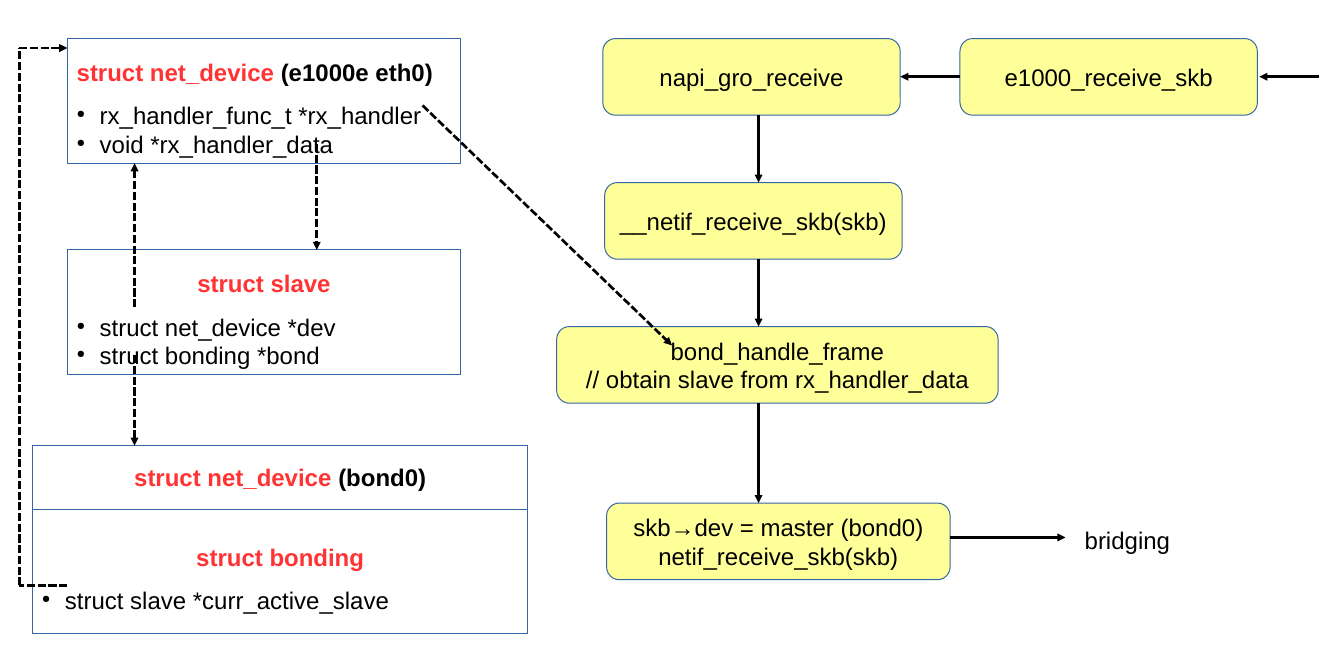
from dataclasses import dataclass

from lxml.etree import SubElement
from pptx import Presentation
from pptx.dml.color import RGBColor
from pptx.enum.dml import MSO_LINE
from pptx.enum.shapes import MSO_CONNECTOR, MSO_SHAPE
from pptx.enum.text import MSO_ANCHOR, PP_ALIGN
from pptx.oxml.ns import qn
from pptx.util import Cm, Pt

COLORS = {"text": "000000", "struct": "FF3333", "border": "3465A4",
          "panel": "FFFFFF", "call": "FFFF99"}
FONT = {"name": "Arial", "size": Pt(18)}
FRAME = {"word_wrap": True, "vertical_anchor": MSO_ANCHOR.MIDDLE,
         "margin_left": Cm(0.25), "margin_right": Cm(0.25),
         "margin_top": Cm(0.13), "margin_bottom": Cm(0.13)}
BULLET_INDENT = Cm(0.61)
ROUNDING = 0.167


@dataclass
class Box:
    """A rectangle in centimetres."""
    left: float
    top: float
    width: float
    height: float

    def point(self, x, y):
        return self.left + x, self.top + y

    def inner(self, x, y, width, height):
        return Box(*self.point(x, y), width, height)

    def lengths(self):
        return [Cm(v) for v in (self.left, self.top, self.width, self.height)]


def color(key):
    return RGBColor.from_string(COLORS[key])


def apply(target, values):
    for name, value in values.items():
        setattr(target, name, value)


# Text
def add_run(paragraph, text, color_key="text", bold=False):
    run = paragraph.add_run()
    run.text = text
    apply(run.font, {**FONT, "bold": bold})
    run.font.color.rgb = color(color_key)


def next_paragraph(frame):
    first = frame.paragraphs[0]
    return frame.add_paragraph() if first.runs else first


def add_bullet(paragraph):
    properties = paragraph._p.get_or_add_pPr()
    properties.set("marL", str(BULLET_INDENT))
    properties.set("indent", str(-BULLET_INDENT))
    bullet_color = SubElement(properties, qn("a:buClr"))
    SubElement(bullet_color, qn("a:srgbClr"), val=COLORS["text"])
    SubElement(properties, qn("a:buSzPct"), val="45000")
    SubElement(properties, qn("a:buChar"), char="●")


# Shapes and lines
def add_panel(slide, box, fill, preset=MSO_SHAPE.RECTANGLE):
    shape = slide.shapes.add_shape(preset, *box.lengths())
    shape.shadow.inherit = False
    shape.fill.solid()
    shape.fill.fore_color.rgb = color(fill)
    shape.line.color.rgb = color("border")
    shape.line.width = 0
    apply(shape.text_frame, FRAME)
    return shape


def add_line(slide, start, end, dotted=False, arrow=True):
    line = slide.shapes.add_connector(
        MSO_CONNECTOR.STRAIGHT, *[Cm(v) for v in (*start, *end)])
    line.line.color.rgb = color("text")
    line.line.width = 0
    if dotted:
        line.line.dash_style = MSO_LINE.SQUARE_DOT
    if arrow:
        SubElement(line.line._get_or_add_ln(), qn("a:tailEnd"), type="triangle")
    SubElement(line._element.spPr, qn("a:effectLst"))


def add_struct(slide, box, name, note="", fields=(), align=PP_ALIGN.CENTER):
    frame = add_panel(slide, box, "panel").text_frame
    heading = next_paragraph(frame)
    heading.alignment = align
    add_run(heading, name, "struct", bold=True)
    if note:
        add_run(heading, note, bold=True)
    for index, field in enumerate(fields):
        paragraph = next_paragraph(frame)
        paragraph.alignment = PP_ALIGN.LEFT
        add_bullet(paragraph)
        add_run(paragraph, field)
        if index == 0:
            heading.line_spacing = paragraph.line_spacing = 1.5


def add_call(slide, box, lines):
    shape = add_panel(slide, box, "call", MSO_SHAPE.ROUNDED_RECTANGLE)
    shape.adjustments[0] = ROUNDING
    for line in lines:
        paragraph = next_paragraph(shape.text_frame)
        paragraph.alignment = PP_ALIGN.CENTER
        add_run(paragraph, line)


# Left region: data structures and their pointers
def add_structures(slide, box):
    left, height = 1.27, 3.3
    slave_top, bond_top, bond_height = 5.59, 10.77, 1.68
    add_struct(slide, box.inner(left, 0, 10.41, height),
               "struct net_device ", "(e1000e eth0)",
               ["rx_handler_func_t *rx_handler", "void *rx_handler_data"],
               PP_ALIGN.LEFT)
    add_struct(slide, box.inner(left, slave_top, 10.41, height), "struct slave",
               fields=["struct net_device *dev", "struct bonding *bond"])
    add_struct(slide, box.inner(0.35, bond_top, 13.11, bond_height),
               "struct net_device ", "(bond0)")
    add_struct(slide, box.inner(0.35, bond_top + bond_height, 13.11, height),
               "struct bonding", fields=["struct slave *curr_active_slave"])

    for x, start, end in [(7.87, 2.79, slave_top), (3.05, 7.11, height),
                          (3.05, 8.38, bond_top)]:
        add_line(slide, box.point(x, start), box.point(x, end), dotted=True)

    # Active slave pointer, back up to the first device
    corners = [box.point(x, y) for x, y in
               [(left, 14.47), (0, 14.47), (0, 0.25), (left, 0.25)]]
    for start, end in zip(corners, corners[1:]):
        add_line(slide, start, end, dotted=True, arrow=end == corners[-1])


# Right region: receive path
def add_receive_path(slide, box):
    height, middle, axis = 2.03, 1.01, 5.34
    steps = [
        (1.22, 0, 7.87, ["napi_gro_receive"]),
        (1.27, 3.81, 7.87, ["__netif_receive_skb(skb)"]),
        (0, 7.62, 11.68, ["bond_handle_frame",
                          "// obtain slave from rx_handler_data"]),
        (1.32, 12.29, 9.09, ["skb→dev = master (bond0)",
                             "netif_receive_skb(skb)"]),
    ]
    add_call(slide, box.inner(10.67, 0, 7.87, height), ["e1000_receive_skb"])
    for x, y, width, lines in steps:
        add_call(slide, box.inner(x, y, width, height), lines)
    for upper, lower in zip(steps, steps[1:]):
        add_line(slide, box.point(axis, upper[1] + height),
                 box.point(axis, lower[1]))
    for start, end, y in [(20.17, 18.59, middle), (10.67, 9.09, middle),
                          (10.41, 13.46, 13.2)]:
        add_line(slide, box.point(start, y), box.point(end, y))

    label = slide.shapes.add_textbox(
        *box.inner(13.72, 12.75, 2.77, 0.97).lengths())
    apply(label.text_frame, {**FRAME, "word_wrap": False,
                             "vertical_anchor": MSO_ANCHOR.TOP})
    add_run(next_paragraph(label.text_frame), "bridging")


def main():
    presentation = Presentation()
    presentation.slide_width, presentation.slide_height = Cm(35.56), Cm(17.78)
    slide = presentation.slides.add_slide(presentation.slide_layouts[6])
    structures = Box(0.51, 1.02, 13.46, 15.75)
    receive_path = Box(14.73, 1.02, 20.17, 14.32)
    add_structures(slide, structures)
    add_receive_path(slide, receive_path)
    # The rx_handler field points to its handler
    add_line(slide, structures.point(10.67, 1.77),
             receive_path.point(3.05, 8.12), dotted=True)
    presentation.save("out.pptx")


if __name__ == "__main__":
    main()
